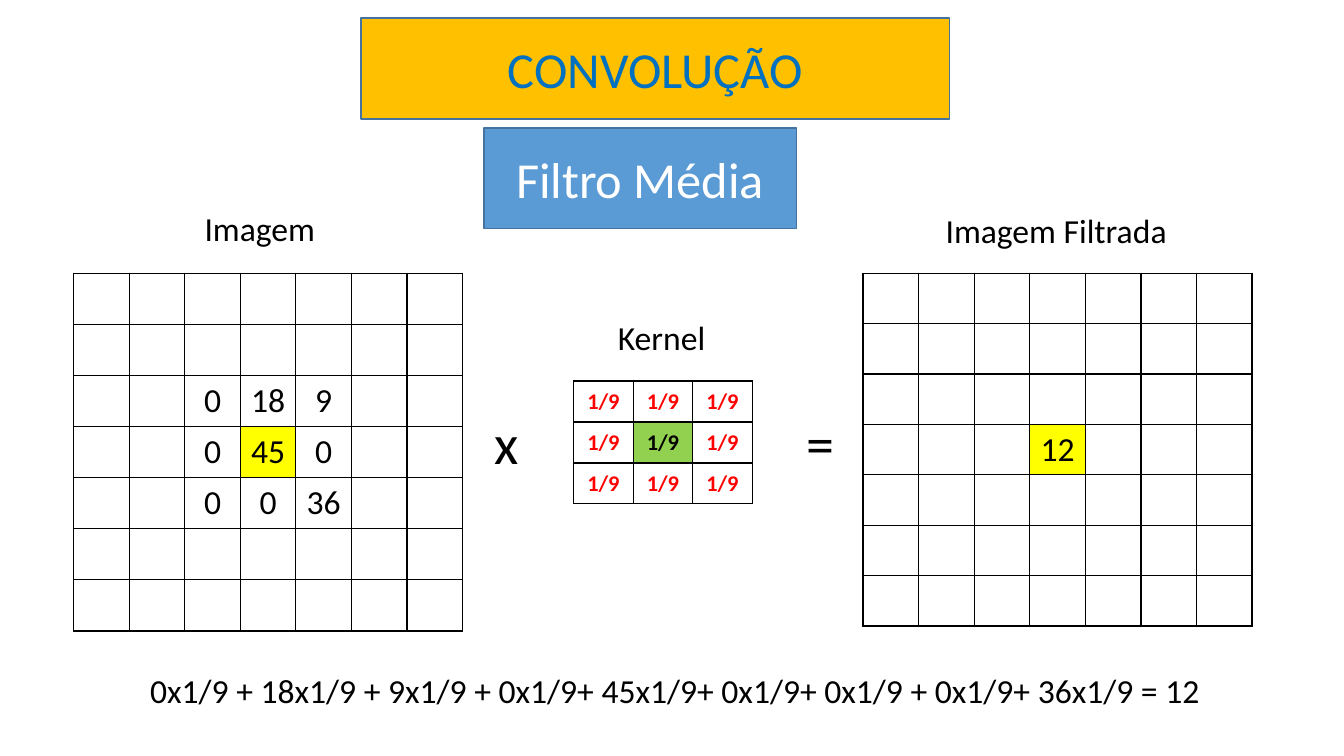
from dataclasses import dataclass

from lxml import etree
from pptx import Presentation
from pptx import util as u
from pptx.dml.color import RGBColor
from pptx.enum import shapes, text
from pptx.oxml import ns

PX = 9144  # 100 px to the inch


@dataclass(frozen=True)
class Theme:
    font: str = "Calibri"
    ink: str = "000000"
    white: str = "FFFFFF"
    gold: str = "FFC000"
    blue: str = "0070C0"
    sky: str = "5B9BD5"
    edge: str = "43739E"
    red: str = "FF0000"
    green: str = "92D050"
    yellow: str = "FFFF00"
    head: int = 36
    sign: int = 40
    body: int = 24
    small: int = 16


T = Theme()


def emu(*sizes):
    return [u.Emu(size * PX) for size in sizes]


def paint(fill, color):
    fill.solid()
    fill.fore_color.rgb = RGBColor.from_string(color)


def write(frame, words, size=T.body, color=T.ink, bold=False, center=False):
    para = frame.paragraphs[0]
    para.alignment = text.PP_ALIGN.CENTER if center else text.PP_ALIGN.LEFT
    para.line_spacing = 1.0
    run = para.add_run()
    run.text = words
    run.font.name = T.font
    run.font.size = u.Pt(size)
    run.font.bold = bold
    run.font.color.rgb = RGBColor.from_string(color)


def label(slide, box, words, **style):
    frame = slide.shapes.add_textbox(*emu(*box)).text_frame
    frame.word_wrap = False
    frame.auto_size = text.MSO_AUTO_SIZE.SHAPE_TO_FIT_TEXT
    write(frame, words, **style)


def banner(shape, words, fill, color):
    paint(shape.fill, fill)
    shape.line.color.rgb = RGBColor.from_string(T.edge)
    shape.line.width = u.Pt(1)
    frame = shape.text_frame
    frame.auto_size = text.MSO_AUTO_SIZE.NONE
    frame.vertical_anchor = text.MSO_ANCHOR.MIDDLE
    write(frame, words, size=T.head, color=color, center=True)


def border(cell):
    props = cell._tc.get_or_add_tcPr()
    for side in ("lnL", "lnR", "lnT", "lnB"):
        line = etree.SubElement(props, ns.qn(f"a:{side}"), w=str(u.Pt(1)))
        solid = etree.SubElement(line, ns.qn("a:solidFill"))
        etree.SubElement(solid, ns.qn("a:srgbClr"), val=T.ink)


def grid(slide, box, count, values, mark, middle=False, **style):
    """Square table; values maps (row, column) to text, mark fills the centre."""
    frame = slide.shapes.add_table(count, count, *emu(*box))
    table = frame.table
    table.first_row = table.horz_banding = False
    for row in range(count):
        for col in range(count):
            cell = table.cell(row, col)
            border(cell)
            if row == col == count // 2:
                paint(cell.fill, mark)
            else:
                cell.fill.background()
            if middle:
                cell.vertical_anchor = text.MSO_ANCHOR.MIDDLE
            if (row, col) in values:
                look = dict(style)
                if row == col == count // 2:
                    look["color"] = T.ink
                write(cell.text_frame, values[row, col], center=True, **look)


def block(rows, start=0):
    return {(start + r, start + c): words
            for r, row in enumerate(rows) for c, words in enumerate(row)}


def header(slide, left, top):
    # Title bar with the filter name below it
    title = slide.shapes.title
    title.left, title.top, title.width, title.height = emu(left, top, 584, 100)
    banner(title, "CONVOLUÇÃO", T.gold, T.blue)
    name = slide.shapes.add_shape(shapes.MSO_SHAPE.RECTANGLE,
                                  *emu(left + 122, top + 109, 310, 100))
    name.shadow.inherit = False
    banner(name, "Filtro Média", T.sky, T.white)


def source(slide, left, top):
    # Input pixels
    label(slide, (left + 120, top, 131, 50), "Imagem")
    pixels = [("0", "18", "9"), ("0", "45", "0"), ("0", "0", "36")]
    grid(slide, (left, top + 70, 386, 355), 7, block(pixels, 2), T.yellow)


def kernel(slide, left, top):
    # Averaging weights
    label(slide, (left + 34, top, 108, 50), "Kernel")
    grid(slide, (left, top + 69, 177, 122), 3, block([["1/9"] * 3] * 3),
         T.green, middle=True, size=T.small, color=T.red, bold=True)


def result(slide, left, top):
    # Filtered pixels
    label(slide, (left + 72, top, 241, 50), "Imagem Filtrada")
    grid(slide, (left, top + 68, 386, 350), 7, {(3, 3): "12"}, T.yellow)


def main():
    deck = Presentation()
    deck.slide_width, deck.slide_height = emu(1333, 750)
    slide = deck.slides.add_slide(deck.slide_layouts[5])
    header(slide, 358, 18)
    source(slide, 73, 201)
    kernel(slide, 569, 309)
    result(slide, 856, 203)
    # Signs between the grids and the worked sum
    label(slide, (481, 400, 45, 77), "x", size=T.sign)
    label(slide, (790, 400, 48, 77), "=", size=T.sign)
    label(slide, (139, 660, 1092, 50),
          "0x1/9 + 18x1/9 + 9x1/9 + 0x1/9+ 45x1/9+ 0x1/9+ 0x1/9 + 0x1/9+ 36x1/9 = 12")
    deck.save("out.pptx")


if __name__ == "__main__":
    main()
